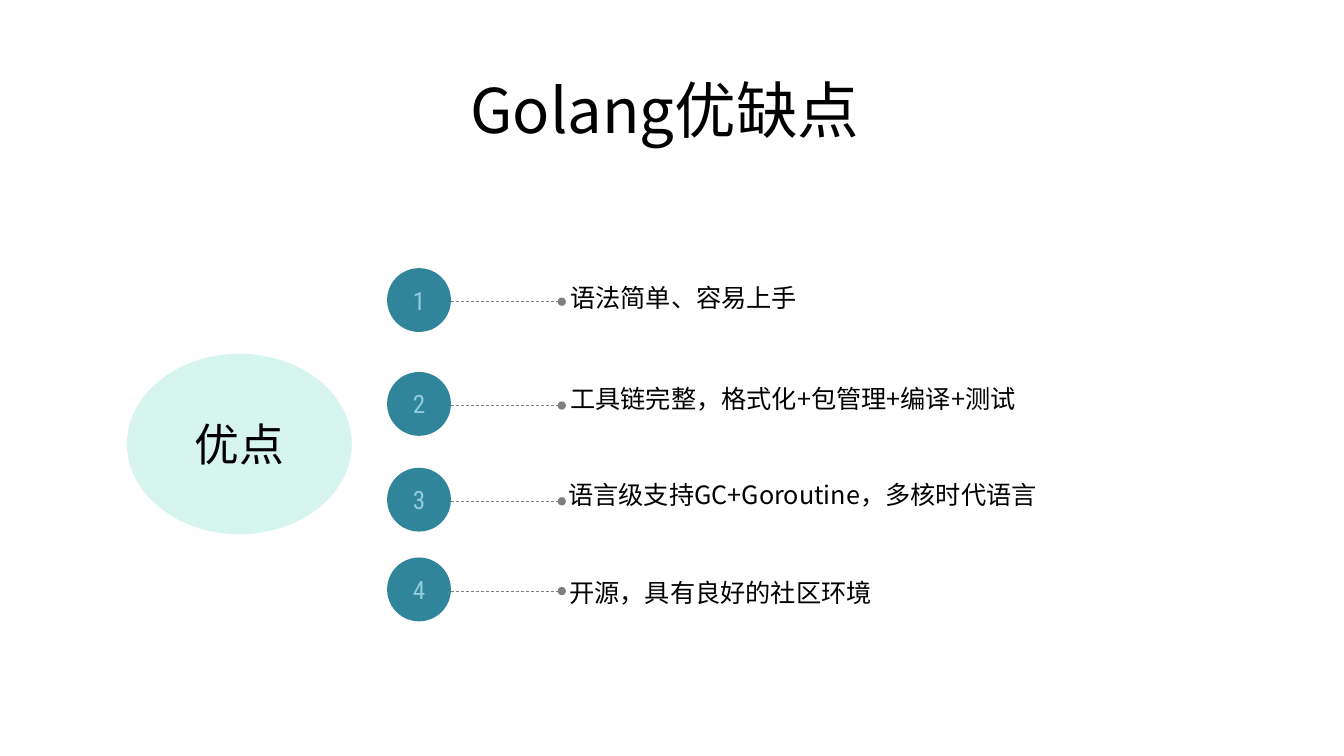
import pptx
import pptx.dml.color
import pptx.enum.dml
import pptx.enum.shapes
import pptx.enum.text
import pptx.oxml
import pptx.oxml.ns
import pptx.util

Pt = pptx.util.Pt
CJK_FONT = "Noto Sans CJK SC"
CIRCLE = 45.6
CONNECTOR = 79.2

# Circle top, text left and text top of each advantage
ADVANTAGES = [
    ("语法简单、容易上手", 191.5, 400.3, 201.6),
    ("工具链完整，格式化+包管理+编译+测试", 265.7, 400.3, 273.6),
    ("语言级支持GC+Goroutine，多核时代语言", 334.1, 398.9, 342.7),
    ("开源，具有良好的社区环境", 398.2, 399.6, 412.6),
]


def colour(hex_code):
    return pptx.dml.color.RGBColor.from_string(hex_code)


def write(shape, text, size, font, hex_code, align, anchor):
    frame = shape.text_frame
    frame.text = text
    frame.word_wrap = True
    frame.vertical_anchor = anchor
    paragraph = frame.paragraphs[0]
    paragraph.alignment = align
    run = paragraph.runs[0]
    run.font.size = Pt(size)
    run.font.name = font
    run.font.color.rgb = colour(hex_code)
    # East Asian glyphs use their own typeface setting
    east_asian = pptx.oxml.parse_xml(
        f'<a:ea {pptx.oxml.ns.nsdecls("a")} typeface="{CJK_FONT}"/>')
    run.font._element.find(pptx.oxml.ns.qn("a:latin")).addnext(east_asian)
    return paragraph


def add_title(slide, left, top, width, height):
    title = slide.shapes.title
    title.left, title.top = Pt(left), Pt(top)
    title.width, title.height = Pt(width), Pt(height)
    paragraph = write(title, "Golang优缺点 ", 44, CJK_FONT, "000000",
                      pptx.enum.text.PP_ALIGN.CENTER,
                      pptx.enum.text.MSO_ANCHOR.MIDDLE)
    paragraph.line_spacing = 0.9


def add_ellipse(slide, left, top, width, height, fill, text, size, font, ink):
    ellipse = slide.shapes.add_shape(
        pptx.enum.shapes.MSO_SHAPE.OVAL,
        Pt(left), Pt(top), Pt(width), Pt(height))
    ellipse.shadow.inherit = False
    ellipse.fill.solid()
    ellipse.fill.fore_color.rgb = colour(fill)
    ellipse.line.fill.background()
    write(ellipse, text, size, font, ink,
          pptx.enum.text.PP_ALIGN.CENTER, pptx.enum.text.MSO_ANCHOR.MIDDLE)


def add_dotted_leader(slide, left, y, length):
    leader = slide.shapes.add_connector(
        pptx.enum.shapes.MSO_CONNECTOR.STRAIGHT,
        Pt(left), Pt(y), Pt(left + length), Pt(y))
    leader.line.color.rgb = colour("7F7F7F")
    leader.line.width = Pt(0.5)
    leader.line.dash_style = pptx.enum.dml.MSO_LINE.DASH
    namespace = pptx.oxml.ns.nsdecls("a")
    leader.line._get_or_add_ln().append(
        pptx.oxml.parse_xml(f'<a:tailEnd {namespace} type="oval"/>'))
    leader._element.spPr.append(
        pptx.oxml.parse_xml(f"<a:effectLst {namespace}/>"))


def add_advantage(slide, left, top, number, text, text_left, text_top):
    # Numbered circle
    add_ellipse(slide, left, top, CIRCLE, CIRCLE, "31859B",
                str(number), 18, "Roboto Condensed", "92CCDC")
    # Leader from circle to text
    add_dotted_leader(slide, left + CIRCLE, top + 24, CONNECTOR)
    # Description
    description = slide.shapes.add_textbox(
        Pt(text_left), Pt(text_top), Pt(453.6), Pt(17.3))
    description.text_frame.margin_top = 0
    description.text_frame.margin_bottom = 0
    write(description, text, 18, CJK_FONT, "000000",
          pptx.enum.text.PP_ALIGN.LEFT, pptx.enum.text.MSO_ANCHOR.TOP)


def main():
    deck = pptx.Presentation()
    deck.slide_width, deck.slide_height = Pt(960), Pt(540)
    slide = deck.slides.add_slide(deck.slide_layouts.get_by_name("Title Only"))
    add_title(slide, 66, 28.8, 828, 104.4)
    add_ellipse(slide, 90.7, 252.7, 160.6, 128.9, "D7F5EF",
                "优点", 32, "Arial", "000000")
    for number, (text, top, text_left, text_top) in enumerate(ADVANTAGES, 1):
        add_advantage(slide, 276.5, top, number, text, text_left, text_top)
    deck.save("out.pptx")


if __name__ == "__main__":
    main()
